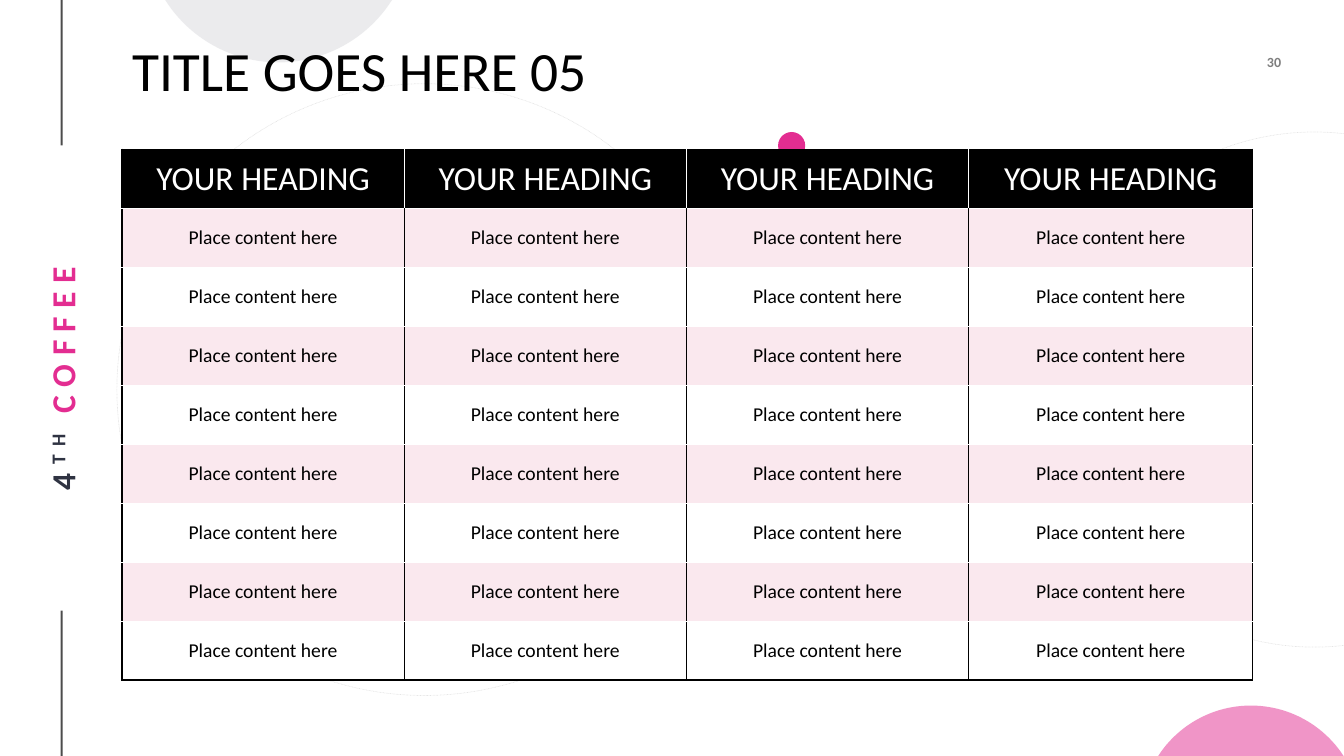
"""Build a table slide with a vertical brand name and round decorations."""
from math import asin, cos, pi, sin

from lxml.etree import SubElement
from pptx import Presentation
from pptx.dml.color import RGBColor
from pptx.enum.dml import MSO_LINE
from pptx.enum.shapes import MSO_CONNECTOR, MSO_SHAPE
from pptx.enum.text import MSO_ANCHOR as ANCHOR, PP_ALIGN as ALIGN
from pptx.oxml import parse_xml
from pptx.oxml.ns import nsdecls, qn
from pptx.util import Pt

W, H = 960, 540
FONT = "Calibri"
BLACK, WHITE, PINK, BLUSH = "000000", "FFFFFF", "E32D91", "FAE8EE"
GREY, NAVY, SILVER = "7F7F7F", "2F3342", "D8D9DC"

TITLE = "TITLE GOES HERE 05"
ROWS = [["YOUR HEADING"] * 4] + [["Place content here"] * 4 for _ in range(8)]
BRAND = [
    ("4", {"color": NAVY}),
    ("TH ", {"color": NAVY, "baseline": 30000}),
    ("COFFEE", {"color": PINK}),
]
SLIDE_NUMBER = "30"

RAIL_X = 44
RAILS = [(0, 103.9), (436.2, H)]
RINGS = [(753.8, 94.3, 370.1, 367.9), (83.5, 59.8, 439.2, 437)]
DOT = (555.8, 94.3, 19.4, 19.4)
CAPS = [
    {"cx": 893.5, "base": H, "half": 66.2, "rise": 36, "up": -1, "color": PINK},
    {"cx": 199, "base": 0, "half": 81, "rise": 44.6, "up": 1, "color": SILVER},
]
TABLE = (87.1, 106.6)
COLUMNS = [201.6, 201.6, 201.6, 203]
HEAD_H, ROW_H = 42.4, 42.1


def rgb(color):
    return RGBColor.from_string(color)


def set_opacity(shape, percent):
    for clr in shape.element.spPr.iter(qn("a:srgbClr")):
        SubElement(clr, qn("a:alpha"), val=str(percent * 1000))


def add_run(p, text, size=14, color=BLACK, bold=False, spacing=0, baseline=0):
    r = p.add_run()
    r.text = text
    r.font.size, r.font.name, r.font.bold = Pt(size), FONT, bold
    r.font.color.rgb = rgb(color)
    if spacing:
        r._r.get_or_add_rPr().set("spc", str(spacing * 100))
    if baseline:
        r._r.get_or_add_rPr().set("baseline", str(baseline))


def add_text(s, box, runs, align, inset=0, rotation=0, **style):
    sp = s.shapes.add_textbox(*map(Pt, box))
    sp.rotation = rotation
    tf = sp.text_frame
    tf.word_wrap, tf.vertical_anchor = True, ANCHOR.MIDDLE
    tf.margin_left = tf.margin_right = tf.margin_top = tf.margin_bottom = Pt(inset)
    tf.paragraphs[0].alignment = align
    for text, extra in runs:
        add_run(tf.paragraphs[0], text, **style, **extra)


def add_rail(s, top, bottom):
    line = s.shapes.add_connector(MSO_CONNECTOR.STRAIGHT, Pt(RAIL_X), Pt(top), Pt(RAIL_X), Pt(bottom))
    line.line.color.rgb, line.line.width = rgb(BLACK), Pt(1.5)
    set_opacity(line, 70)
    SubElement(line.element.spPr, qn("a:effectLst"))


def add_ring(s, box):
    sp = s.shapes.add_shape(MSO_SHAPE.OVAL, *map(Pt, box))
    sp.shadow.inherit = False
    sp.fill.background()
    sp.line.color.rgb, sp.line.width = rgb(BLACK), Pt(0.5)
    sp.line.dash_style = MSO_LINE.ROUND_DOT
    set_opacity(sp, 10)


def fill_plain(sp, color):
    sp.shadow.inherit = False
    sp.fill.solid()
    sp.fill.fore_color.rgb = rgb(color)
    sp.line.fill.background()


def add_cap(s, cx, base, half, rise, up, color, steps=48):
    radius = (half ** 2 + rise ** 2) / (2 * rise)
    spread = asin(half / radius) if rise < radius else pi - asin(half / radius)
    angles = [spread * (2 * i / steps - 1) for i in range(steps + 1)]
    points = [(Pt(cx + radius * sin(a)), Pt(base + up * (rise - radius + radius * cos(a)))) for a in angles]
    outline = s.shapes.build_freeform(*points[0], scale=1.0)
    outline.add_line_segments(points[1:], close=True)
    sp = outline.convert_to_shape()
    fill_plain(sp, color)
    set_opacity(sp, 50)


def set_borders(cell, **colors):
    tc_pr = cell._tc.get_or_add_tcPr()
    for i, (side, color) in enumerate(colors.items()):
        tc_pr.insert(i, parse_xml(
            f'<a:ln{side} {nsdecls("a")} w="12700"><a:solidFill>'
            f'<a:srgbClr val="{color}"/></a:solidFill></a:ln{side}>'))


def add_table(s):
    height = HEAD_H + ROW_H * (len(ROWS) - 1)
    frame = s.shapes.add_table(len(ROWS), len(COLUMNS), *map(Pt, (*TABLE, sum(COLUMNS), height)))
    table = frame.table
    table.first_row = table.horz_banding = False
    last_row, last_col = len(ROWS) - 1, len(COLUMNS) - 1
    for column, width in zip(table.columns, COLUMNS):
        column.width = Pt(width)
    for i, texts in enumerate(ROWS):
        head = i == 0
        table.rows[i].height = Pt(HEAD_H if head else ROW_H)
        inner = WHITE if head else BLACK
        for j, text in enumerate(texts):
            cell = table.cell(i, j)
            cell.vertical_anchor = ANCHOR.MIDDLE
            cell.margin_left = cell.margin_right = Pt(5)
            cell.margin_top = cell.margin_bottom = Pt(3)
            cell.fill.solid()
            cell.fill.fore_color.rgb = rgb(BLACK if head else BLUSH if i % 2 else WHITE)
            set_borders(cell, L=inner if j else BLACK, R=inner if j < last_col else BLACK,
                        T=BLACK if head else WHITE, B=BLACK if i == last_row else WHITE)
            p = cell.text_frame.paragraphs[0]
            p.alignment = ALIGN.CENTER
            add_run(p, text, size=24 if head else 14, color=WHITE if head else BLACK)


def set_title(s):
    sp = s.shapes.title
    sp.element.getparent().append(sp.element)
    sp.left, sp.top, sp.width, sp.height = map(Pt, (87.1, 28.8, 807.1, 47.5))
    tf = sp.text_frame
    tf.word_wrap, tf.vertical_anchor = True, ANCHOR.MIDDLE
    p = tf.paragraphs[0]
    p.alignment, p.line_spacing = ALIGN.LEFT, 0.9
    add_run(p, TITLE, size=39.6)


def main():
    prs = Presentation()
    prs.slide_width, prs.slide_height = Pt(W), Pt(H)
    s = prs.slides.add_slide(prs.slide_layouts[5])
    for top, bottom in RAILS:
        add_rail(s, top, bottom)
    add_text(s, (-121.7, 254.2, 331.9, 32.4), BRAND, ALIGN.CENTER, inset=1.4,
             rotation=270, size=24, bold=True, spacing=6)
    add_text(s, (859.7, 34.6, 55.4, 19.4), [(SLIDE_NUMBER, {})], ALIGN.RIGHT,
             size=10, color=GREY, bold=True)
    for box in RINGS:
        add_ring(s, box)
    fill_plain(s.shapes.add_shape(MSO_SHAPE.OVAL, *map(Pt, DOT)), PINK)
    for cap in CAPS:
        add_cap(s, **cap)
    set_title(s)
    add_table(s)
    prs.save("out.pptx")


if __name__ == "__main__":
    main()
